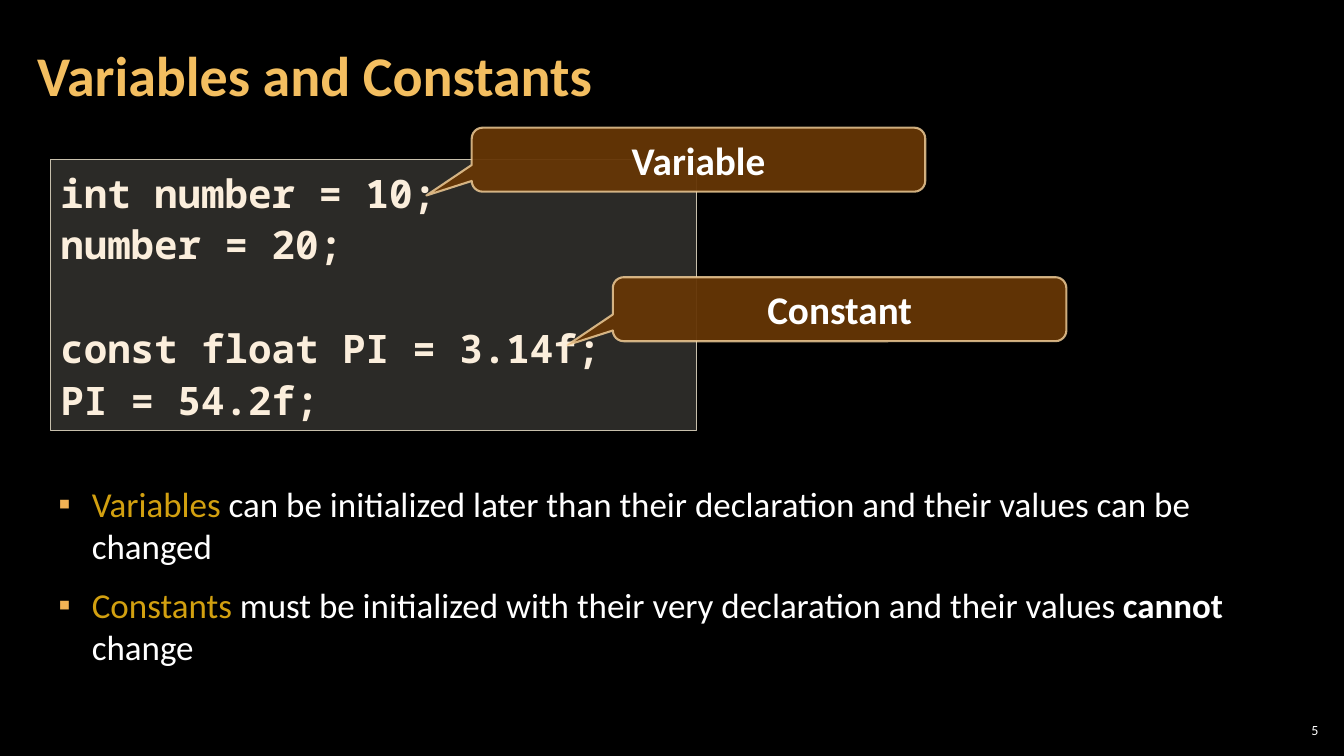
from dataclasses import dataclass

from lxml import etree
from pptx import Presentation
from pptx.dml.color import RGBColor
from pptx.enum.shapes import MSO_SHAPE
from pptx.enum.text import MSO_ANCHOR, MSO_AUTO_SIZE, PP_ALIGN
from pptx.oxml.ns import qn
from pptx.util import Pt

RECTANGLE = MSO_SHAPE.RECTANGLE
CALLOUT = MSO_SHAPE.ROUNDED_RECTANGULAR_CALLOUT
TOP, MIDDLE = MSO_ANCHOR.TOP, MSO_ANCHOR.MIDDLE
LEFT, CENTER, RIGHT = PP_ALIGN.LEFT, PP_ALIGN.CENTER, PP_ALIGN.RIGHT
NO_AUTOFIT = MSO_AUTO_SIZE.NONE


@dataclass(frozen=True)
class Theme:
    text_font: str = "Calibri"
    code_font: str = "Noto Sans Mono"
    background: str = "000000"
    text: str = "FFFFFF"
    title: str = "F3BE60"
    keyword: str = "D2A010"
    bullet: str = "F2B254"
    code: str = "FBEEDC"
    code_fill: str = "D9D5C7"
    code_line: str = "C7BFAC"
    callout_fill: str = "663606"
    callout_line: str = "F8D49E"
    title_size: float = 40
    code_size: float = 28
    callout_size: float = 28
    body_size: float = 25
    number_size: float = 10


@dataclass(frozen=True)
class Box:
    left: float
    top: float
    width: float
    height: float


@dataclass(frozen=True)
class Callout:
    label: str
    left: float
    top: float


@dataclass(frozen=True)
class Piece:
    text: str
    color: str
    bold: bool = False


THEME = Theme()
TITLE_BOX = Box(18, 12.24, 753.84, 87.12)
CODE_BOX = Box(36, 113.76, 461.52, 193.68)
BODY_BOX = Box(33.12, 342, 908.64, 124.56)
NUMBER_BOX = Box(910.8, 514.08, 33.84, 15.12)
CALLOUT_WIDTH, CALLOUT_HEIGHT = 324, 45.72
CALLOUT_ADJUSTMENTS = (-0.6, 0.56, 0.17)
CODE_LINE_PITCH = 37
BULLET_INDENT = 24

CODE_BLOCKS = (
    ("int number = 10;", "number = 20;"),
    ("const float PI = 3.14f;", "PI = 54.2f;"),
)
CALLOUTS = (Callout("Variable", 336.96, 91.2), Callout("Constant", 437.76, 198))
POINTS = (
    (Piece("Variables ", THEME.keyword),
     Piece("can be initialized later than their declaration and their values can be changed",
           THEME.text)),
    (Piece("Constants ", THEME.keyword),
     Piece("must be initialized with their very declaration and their values ", THEME.text),
     Piece("cannot ", THEME.text, True),
     Piece("change", THEME.text)),
)


def rgb(color: str) -> RGBColor:
    return RGBColor.from_string(color)


def place(shape, box: Box) -> None:
    shape.left, shape.top = Pt(box.left), Pt(box.top)
    shape.width, shape.height = Pt(box.width), Pt(box.height)


def set_frame(frame, anchor, side: float = 7.2, edge: float = 3.6) -> None:
    frame.word_wrap = True
    frame.auto_size = NO_AUTOFIT
    frame.vertical_anchor = anchor
    frame.margin_left = frame.margin_right = Pt(side)
    frame.margin_top = frame.margin_bottom = Pt(edge)


def set_font(font, name: str, size: float, color: str, bold: bool = False) -> None:
    font.name, font.size, font.bold = name, Pt(size), bold
    font.color.rgb = rgb(color)


def set_alpha(color_format_parent, percent: int) -> None:
    color = next(color_format_parent.iter(qn("a:srgbClr")))
    etree.SubElement(color, qn("a:alpha"), val=str(percent * 1000))


def add_panel(slide, kind, box: Box, fill: str, fill_alpha: int, line: str, line_width: float):
    panel = slide.shapes.add_shape(kind, Pt(box.left), Pt(box.top), Pt(box.width), Pt(box.height))
    panel.shadow.inherit = False
    panel.fill.solid()
    panel.fill.fore_color.rgb = rgb(fill)
    set_alpha(panel.fill._xPr.find(qn("a:solidFill")), fill_alpha)
    panel.line.color.rgb = rgb(line)
    panel.line.width = Pt(line_width)
    return panel


def add_code(slide) -> None:
    panel = add_panel(slide, RECTANGLE, CODE_BOX, THEME.code_fill, 20, THEME.code_line, 1)
    frame = panel.text_frame
    set_frame(frame, TOP)
    for block_index, block in enumerate(CODE_BLOCKS):
        for line_index, line in enumerate(block):
            first = block_index == line_index == 0
            para = frame.paragraphs[0] if first else frame.add_paragraph()
            para.text = line
            para.alignment = LEFT
            para.line_spacing = 1.1
            if block_index and line_index == 0:
                para.space_before = Pt(CODE_LINE_PITCH)
            set_font(para.font, THEME.code_font, THEME.code_size, THEME.code, True)


def add_callout(slide, callout: Callout) -> None:
    box = Box(callout.left, callout.top, CALLOUT_WIDTH, CALLOUT_HEIGHT)
    panel = add_panel(slide, CALLOUT, box, THEME.callout_fill, 95, THEME.callout_line, 1.5)
    set_alpha(panel.line._ln, 80)
    for index, value in enumerate(CALLOUT_ADJUSTMENTS):
        panel.adjustments[index] = value
    set_frame(panel.text_frame, MIDDLE)
    para = panel.text_frame.paragraphs[0]
    para.text = callout.label
    para.alignment = CENTER
    set_font(para.font, THEME.text_font, THEME.callout_size, THEME.text, True)


def add_bullet(para) -> None:
    properties = para._p.get_or_add_pPr()
    properties.set("marL", str(Pt(BULLET_INDENT)))
    properties.set("indent", str(-Pt(BULLET_INDENT)))
    bullet_color = etree.SubElement(properties, qn("a:buClr"))
    etree.SubElement(bullet_color, qn("a:srgbClr"), val=THEME.bullet)
    etree.SubElement(properties, qn("a:buChar"), char="▪")


def fill_title(title) -> None:
    place(title, TITLE_BOX)
    set_frame(title.text_frame, MIDDLE, side=8.5, edge=2.83)
    para = title.text_frame.paragraphs[0]
    para.text = "Variables and Constants"
    para.alignment = LEFT
    para.line_spacing = 0.9
    set_font(para.font, THEME.text_font, THEME.title_size, THEME.title, True)


def fill_body(body) -> None:
    place(body, BODY_BOX)
    frame = body.text_frame
    set_frame(frame, TOP, side=8.5, edge=2.83)
    for index, pieces in enumerate(POINTS):
        para = frame.add_paragraph() if index else frame.paragraphs[0]
        para.space_before = Pt(6 if index else 0)
        para.space_after = Pt(6)
        add_bullet(para)
        for piece in pieces:
            span = para.add_run()
            span.text = piece.text
            set_font(span.font, THEME.text_font, THEME.body_size, piece.color, piece.bold)


def add_number(slide) -> None:
    box = slide.shapes.add_textbox(0, 0, 0, 0)
    place(box, NUMBER_BOX)
    set_frame(box.text_frame, MIDDLE, side=2.83, edge=2.83)
    para = box.text_frame.paragraphs[0]
    para.text = "5"
    para.alignment = RIGHT
    set_font(para.font, THEME.text_font, THEME.number_size, THEME.text)


def main() -> None:
    deck = Presentation()
    deck.slide_width, deck.slide_height = Pt(960), Pt(540)
    page = deck.slides.add_slide(deck.slide_layouts[1])
    page.background.fill.solid()
    page.background.fill.fore_color.rgb = rgb(THEME.background)

    # Heading and list
    fill_title(page.shapes.title)
    fill_body(page.placeholders[1])

    # Code with its callouts
    add_code(page)
    for callout in CALLOUTS:
        add_callout(page, callout)

    # Page number
    add_number(page)
    deck.save("out.pptx")


if __name__ == "__main__":
    main()
